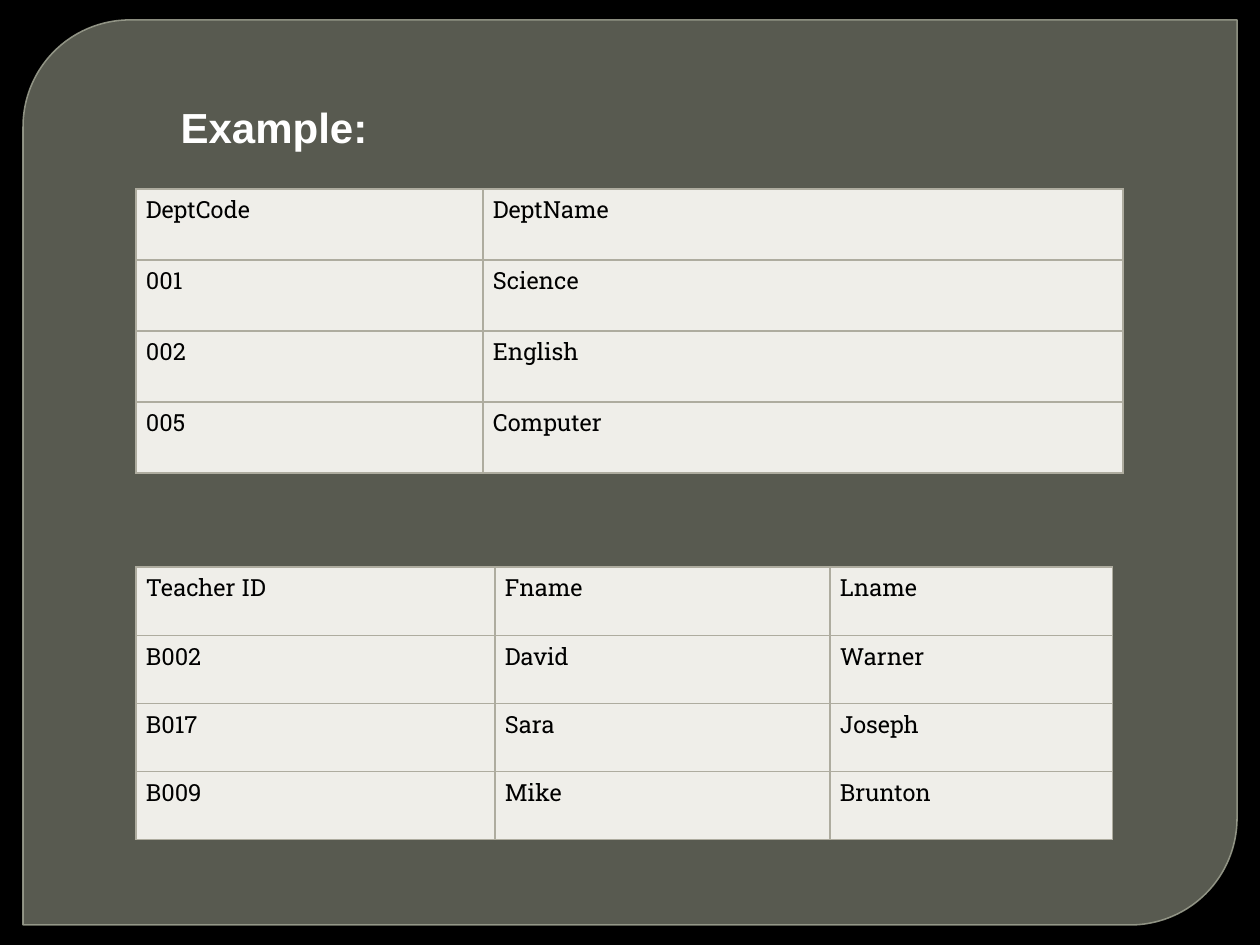
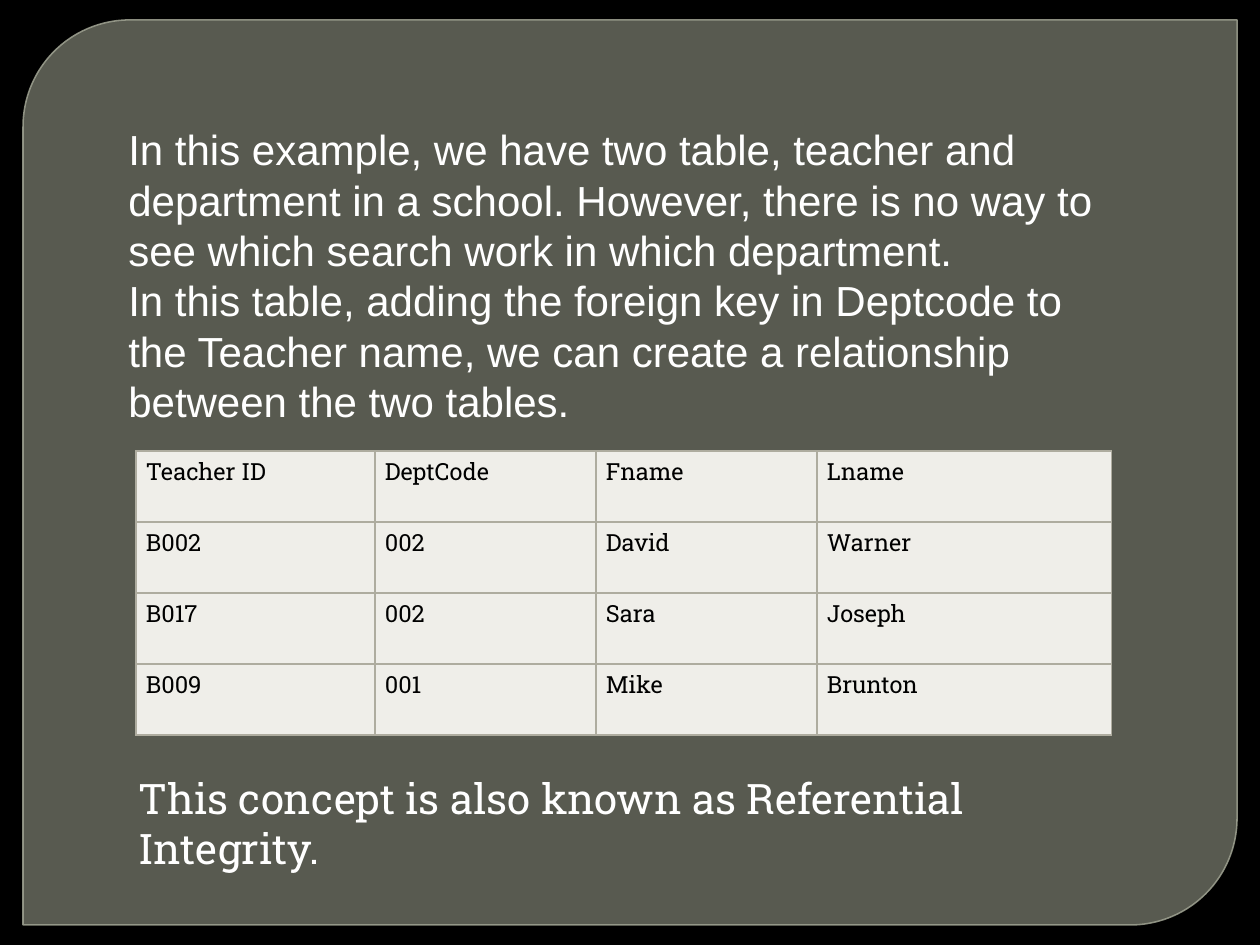
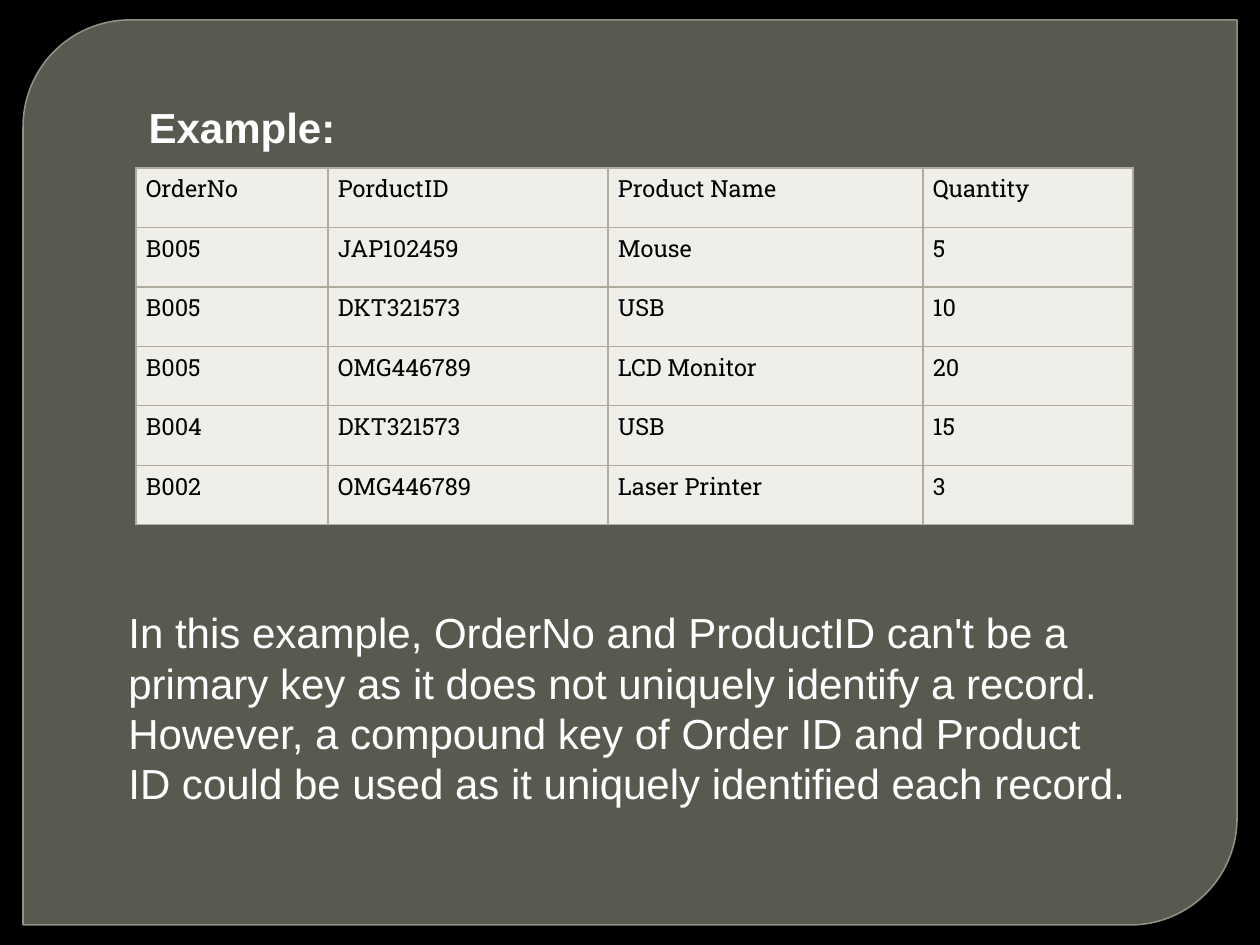
"""Build three slides on foreign keys and compound keys."""
from lxml.etree import SubElement
from pptx import Presentation
from pptx.dml.color import RGBColor
from pptx.enum.shapes import MSO_SHAPE
from pptx.enum.text import MSO_ANCHOR as ANCHOR, MSO_AUTO_SIZE as AUTO_SIZE, PP_ALIGN as ALIGN
from pptx.oxml.ns import qn
from pptx.util import Emu, Pt

BLACK = RGBColor(0x00, 0x00, 0x00)
WHITE = RGBColor(0xFF, 0xFF, 0xFF)
PANEL_FILL = RGBColor(0x88, 0x8B, 0x7B)
PANEL_LINE = RGBColor(0x9D, 0xA0, 0x90)
CELL_FILL = RGBColor(0xEF, 0xEE, 0xE9)
CELL_LINE = RGBColor(0xAE, 0xAC, 0x9F)

PX_PER_INCH = 126
TABLE_LEFT = 136
CELL_MARGIN = 10
TITLE_ONLY, BLANK = 5, 6

TITLE_FONT = {"name": "Arial", "size": Pt(24), "bold": True}
BODY_FONT = {"name": "Arial", "size": Pt(24), "bold": False}
CLOSING_FONT = {"name": "Roboto Slab", "size": Pt(24), "bold": False}
CELL_FONT = {"name": "Roboto Slab", "size": Pt(13.5), "bold": False}
CELL_PARAGRAPH = {"line_spacing": Pt(15), "space_after": Pt(15), "alignment": ALIGN.LEFT}

SLIDES = [
    {
        "title": ("Example:", (168, 95, 872, 63)),
        "tables": [
            {"top": 189, "height": 284, "columns": (347, 640), "rows": [
                ("DeptCode", "DeptName"),
                ("001", "Science"),
                ("002", "English"),
                ("005", "Computer"),
            ]},
            {"top": 567, "height": 273, "columns": (359, 335, 283), "rows": [
                ("Teacher ID", "Fname", "Lname"),
                ("B002", "David", "Warner"),
                ("B017", "Sara", "Joseph"),
                ("B009", "Mike", "Brunton"),
            ]},
        ],
    },
    {
        "tables": [
            {"top": 451, "height": 284, "columns": (239, 221, 221, 295), "rows": [
                ("Teacher ID", "DeptCode", "Fname", "Lname"),
                ("B002", "002", "David", "Warner"),
                ("B017", "002", "Sara", "Joseph"),
                ("B009", "001", "Mike", "Brunton"),
            ]},
        ],
        "texts": [
            ([
                "In this example, we have two table, teacher and department in a school. "
                "However, there is no way to see which search work in which department.",
                "In this table, adding the foreign key in Deptcode to the Teacher name, "
                "we can create a relationship between the two tables.",
            ], (116, 116, 1018, 318), BODY_FONT, ANCHOR.MIDDLE),
            (["This concept is also known as Referential Integrity."],
             (126, 766, 1008, 63), CLOSING_FONT, ANCHOR.TOP),
        ],
    },
    {
        "title": ("Example:", (136, 95, 987, 63)),
        "tables": [
            {"top": 168, "height": 357, "columns": (192, 280, 315, 210), "rows": [
                ("OrderNo", "PorductID", "Product Name", "Quantity"),
                ("B005", "JAP102459", "Mouse", "5"),
                ("B005", "DKT321573", "USB", "10"),
                ("B005", "OMG446789", "LCD Monitor", "20"),
                ("B004", "DKT321573", "USB", "15"),
                ("B002", "OMG446789", "Laser Printer", "3"),
            ]},
        ],
        "texts": [
            ([
                "In this example, OrderNo and ProductID can't be a primary key as it does not "
                "uniquely identify a record. However, a compound key of Order ID and Product ID "
                "could be used as it uniquely identified each record.",
            ], (116, 599, 1029, 217), BODY_FONT, ANCHOR.MIDDLE),
        ],
    },
]


def px(length):
    return Emu(round(length * 914400 / PX_PER_INCH))


def apply(target, values):
    for name, value in values.items():
        setattr(target, name, value)


def place(shape, box):
    apply(shape, dict(zip(("left", "top", "width", "height"), map(px, box))))


def set_alpha(color_format_parent, percent):
    for color in color_format_parent.iter(qn("a:srgbClr")):
        SubElement(color, qn("a:alpha"), val=str(percent * 1000))


def write(frame, paragraphs, font, color, paragraph_format):
    frame.text = "\n".join(paragraphs)
    for paragraph in frame.paragraphs:
        apply(paragraph, paragraph_format)
        for run in paragraph.runs:
            apply(run.font, font)
            run.font.color.rgb = color


def write_box(shape, paragraphs, box, font, anchor):
    frame = shape.text_frame
    apply(frame, {"word_wrap": True, "vertical_anchor": anchor,
                  "auto_size": AUTO_SIZE.SHAPE_TO_FIT_TEXT})
    write(frame, paragraphs, font, WHITE, {"alignment": ALIGN.LEFT})
    place(shape, box)


def add_master_panel(master, slide):
    master.background.fill.solid()
    master.background.fill.fore_color.rgb = BLACK
    panel = slide.shapes.add_shape(
        MSO_SHAPE.ROUND_2_DIAG_RECTANGLE, *map(px, (23, 20, 1214, 905)))
    panel.adjustments[0] = 0.118
    panel.adjustments[1] = 0
    panel.shadow.inherit = False
    panel.fill.solid()
    panel.fill.fore_color.rgb = PANEL_FILL
    panel.line.color.rgb = PANEL_LINE
    panel.line.width = Pt(0.87)
    properties = panel.element.spPr
    set_alpha(properties.find(qn("a:solidFill")), 65)
    set_alpha(properties.find(qn("a:ln")), 88)
    panel.element.nvSpPr.cNvPr.set("id", "100")
    master.element.cSld.spTree.insert(2, panel.element)


def format_cell(cell, text):
    sides = ("left", "right", "top", "bottom")
    apply(cell, {f"margin_{side}": px(CELL_MARGIN) for side in sides})
    properties = cell._tc.get_or_add_tcPr()
    for side in sides:
        line = SubElement(properties, qn(f"a:ln{side[0].upper()}"), w=str(Pt(0.75)))
        SubElement(SubElement(line, qn("a:solidFill")), qn("a:srgbClr"), val=str(CELL_LINE))
    cell.fill.solid()
    cell.fill.fore_color.rgb = CELL_FILL
    write(cell.text_frame, [text], CELL_FONT, BLACK, CELL_PARAGRAPH)


def add_data_table(slide, top, height, columns, rows):
    box = (TABLE_LEFT, top, sum(columns), height)
    table = slide.shapes.add_table(len(rows), len(columns), *map(px, box)).table
    apply(table, {"first_row": False, "horz_banding": False})
    for column, width in zip(table.columns, columns):
        column.width = px(width)
    for row, texts in zip(table.rows, rows):
        row.height = px(height / len(rows))
        for cell, text in zip(row.cells, texts):
            format_cell(cell, text)


def main():
    presentation = Presentation()
    apply(presentation, {"slide_width": px(1260), "slide_height": px(945)})
    for content in SLIDES:
        layout = TITLE_ONLY if "title" in content else BLANK
        slide = presentation.slides.add_slide(presentation.slide_layouts[layout])
        if "title" in content:
            title, box = content["title"]
            write_box(slide.shapes.title, [title], box, TITLE_FONT, ANCHOR.MIDDLE)
        for table in content["tables"]:
            add_data_table(slide, **table)
        for paragraphs, box, font, anchor in content.get("texts", []):
            text_box = slide.shapes.add_textbox(*map(px, box))
            write_box(text_box, paragraphs, box, font, anchor)
    add_master_panel(presentation.slide_master, presentation.slides[0])
    presentation.save("out.pptx")


if __name__ == "__main__":
    main()
